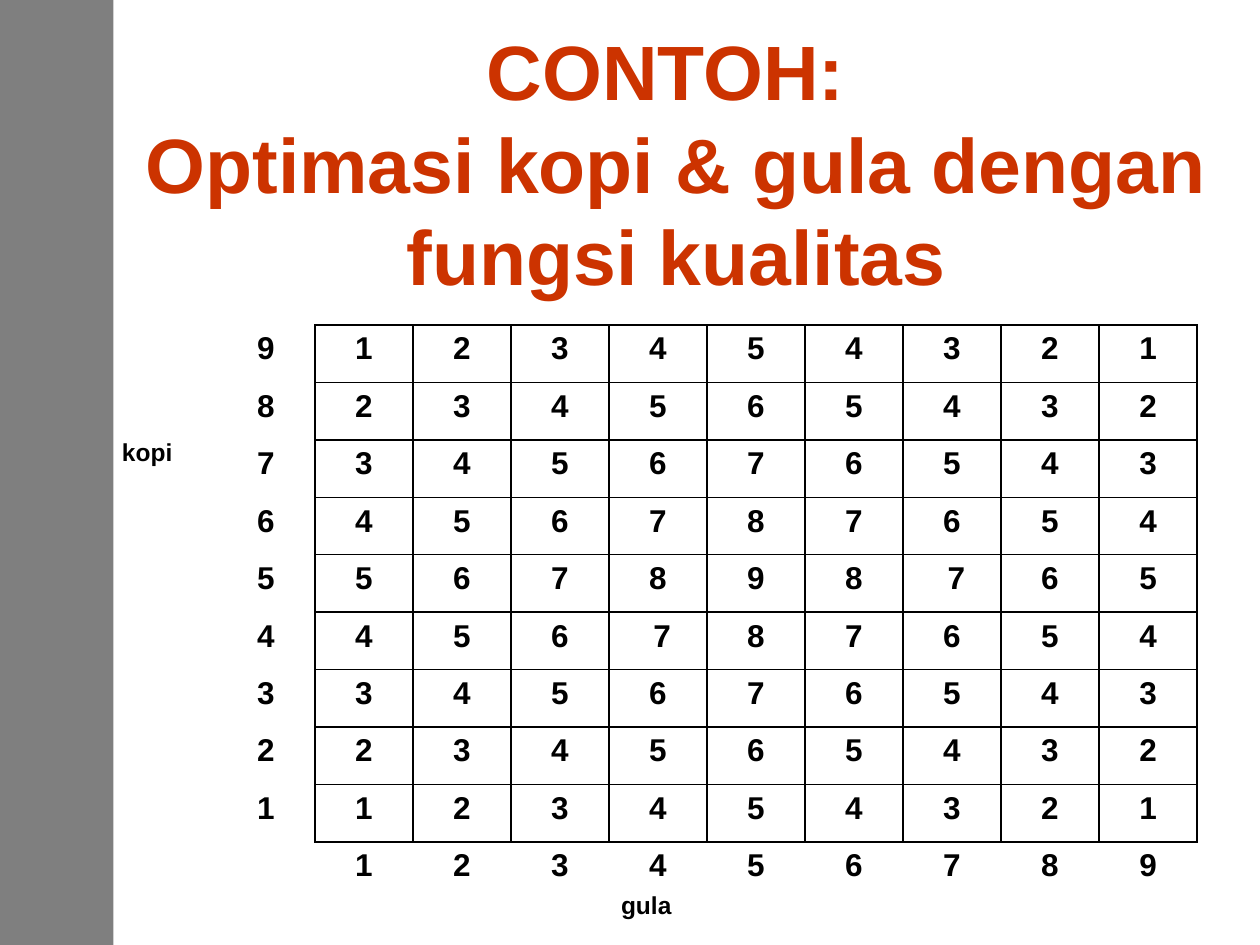
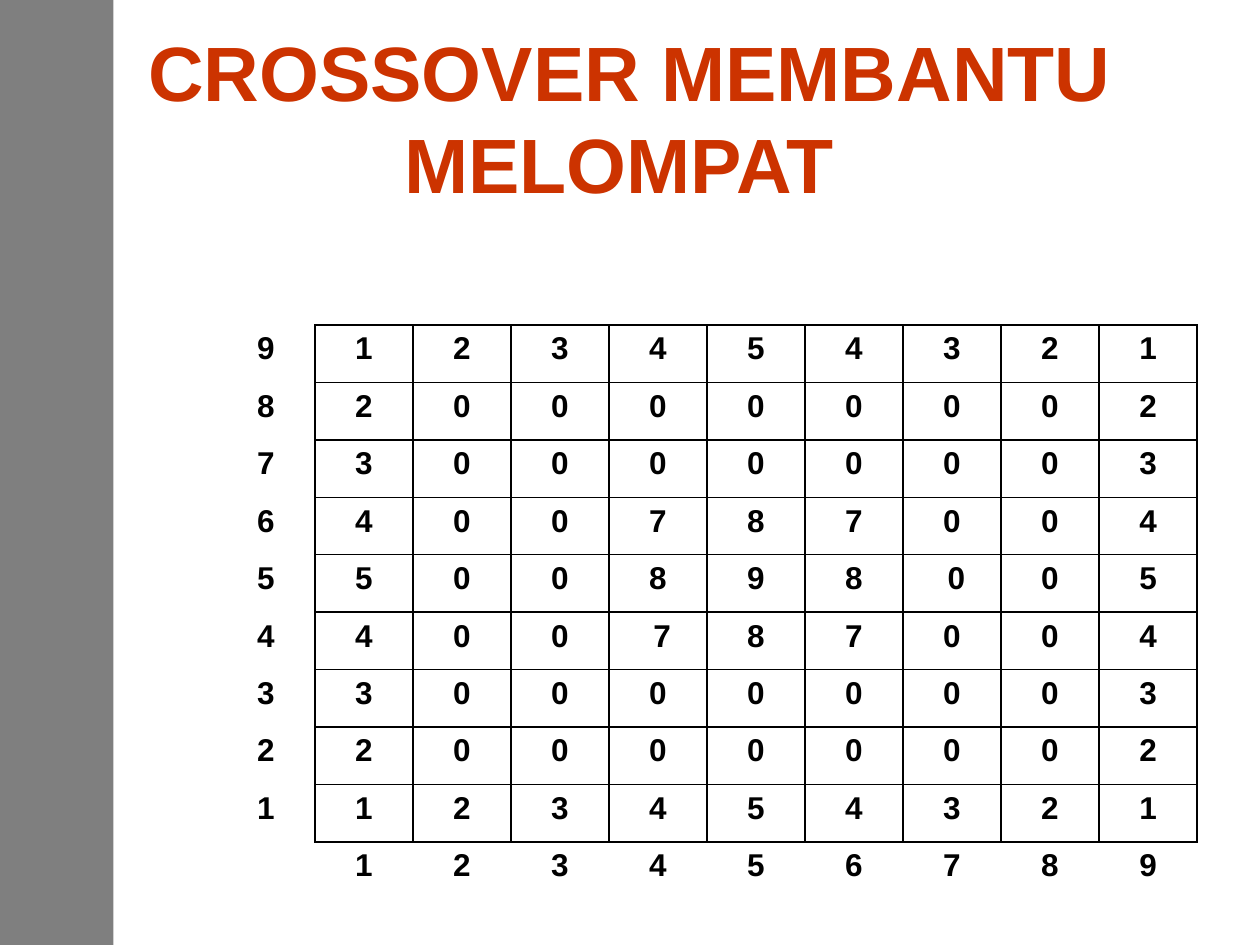
from lxml.etree import SubElement
from pptx import Presentation
from pptx.dml.color import RGBColor
from pptx.enum.shapes import MSO_SHAPE
from pptx.enum.text import MSO_ANCHOR, MSO_AUTO_SIZE, PP_ALIGN
from pptx.oxml import parse_xml
from pptx.oxml.ns import nsdecls, qn
from pptx.util import Cm, Pt

BLACK = RGBColor(0x00, 0x00, 0x00)
WHITE = RGBColor(0xFF, 0xFF, 0xFF)
RUST = RGBColor(0xCC, 0x33, 0x00)
FONT = "Arial"
LEVELS = range(1, 10)
PEAK = 5
NUDGED = {(5, 7), (4, 4)}


def quality(kopi, gula):
    return 9 - abs(kopi - PEAK) - abs(gula - PEAK)


def quality_with_gap(kopi, gula):
    on_rim = kopi in (1, 9) or gula in (1, 9)
    near_peak = abs(kopi - PEAK) <= 1 and abs(gula - PEAK) <= 1
    return quality(kopi, gula) if on_rim or near_peak else 0


class Deck:
    def __init__(self):
        self.presentation = Presentation()
        self.presentation.slide_width = Cm(25.4)
        self.presentation.slide_height = Cm(19.05)
        self.layout = self.presentation.slide_layouts[5]
        self.slide = None

    def new_slide(self):
        self.slide = self.presentation.slides.add_slide(self.layout)

    def master_band(self):
        band = self.slide.shapes.add_shape(
            MSO_SHAPE.RECTANGLE, 0, 0, Cm(2.29), self.presentation.slide_height)
        band.shadow.inherit = False
        band.line.fill.background()
        band.fill.solid()
        band.fill.fore_color.rgb = BLACK
        black = band.element.spPr.find(".//" + qn("a:srgbClr"))
        SubElement(black, qn("a:alpha"), val="50000")
        self.presentation.slide_master.shapes.element.insert(2, band.element)

    def run(self, paragraph, text, size, color=BLACK):
        run = paragraph.add_run()
        run.text = text
        run.font.name = FONT
        run.font.size = Pt(size)
        run.font.bold = True
        run.font.color.rgb = color

    def title(self, lines, left, top_inset=0.13):
        title = self.slide.shapes.title
        title.left, title.top = Cm(left), Cm(0.76)
        title.width, title.height = Cm(22.86), Cm(3.18)
        frame = title.text_frame
        frame.word_wrap = True
        frame.auto_size = MSO_AUTO_SIZE.NONE
        frame.vertical_anchor = MSO_ANCHOR.MIDDLE
        frame.margin_top = Cm(top_inset)
        paragraph = frame.paragraphs[0]
        paragraph.alignment = PP_ALIGN.CENTER
        for number, line in enumerate(lines):
            if number:
                paragraph.add_line_break()
            self.run(paragraph, line, 44, RUST)

    def axis_name(self, text, left, top):
        box = self.slide.shapes.add_textbox(Cm(left), Cm(top), Cm(2.16), Cm(0.86))
        box.text_frame.word_wrap = True
        box.text_frame.auto_size = MSO_AUTO_SIZE.SHAPE_TO_FIT_TEXT
        self.run(box.text_frame.paragraphs[0], text, 14)

    def borders(self, cell, sides):
        properties = cell._tc.get_or_add_tcPr()
        for position, side in enumerate("LRTB"):
            paint = (f'<a:solidFill><a:srgbClr val="{BLACK}"/></a:solidFill>'
                     if side in sides else "<a:noFill/>")
            properties.insert(position, parse_xml(
                f'<a:ln{side} {nsdecls("a")} w="12700">{paint}</a:ln{side}>'))

    def cell(self, cell, text, sides):
        cell.fill.solid()
        cell.fill.fore_color.rgb = WHITE
        self.borders(cell, sides)
        if text:
            paragraph = cell.text_frame.paragraphs[0]
            paragraph.alignment = PP_ALIGN.CENTER
            self.run(paragraph, text, 18)

    def quality_grid(self, value):
        size = len(LEVELS) + 1
        grid = self.slide.shapes.add_table(
            size, size, Cm(4.37), Cm(6.55), Cm(19.76), Cm(11.58)).table
        grid.first_row = False
        grid.horz_banding = False
        for row, kopi in enumerate(reversed(LEVELS)):
            self.cell(grid.cell(row, 0), str(kopi), "R")
            for gula in LEVELS:
                indent = " " if (kopi, gula) in NUDGED else ""
                self.cell(grid.cell(row, gula), f"{indent}{value(kopi, gula)}", "LRTB")
        self.cell(grid.cell(size - 1, 0), "", "")
        for gula in LEVELS:
            self.cell(grid.cell(size - 1, gula), str(gula), "T")


deck = Deck()

deck.new_slide()
deck.master_band()
deck.title(["CONTOH: ", "Optimasi kopi & gula dengan fungsi kualitas"], 2.21, top_inset=1.98)
deck.quality_grid(quality)
deck.axis_name("kopi", 2.21, 8.69)
deck.axis_name("gula", 12.27, 17.81)

deck.new_slide()
deck.title(["CROSSOVER MEMBANTU MELOMPAT "], 1.27)
deck.quality_grid(quality_with_gap)

deck.presentation.save("out.pptx")
